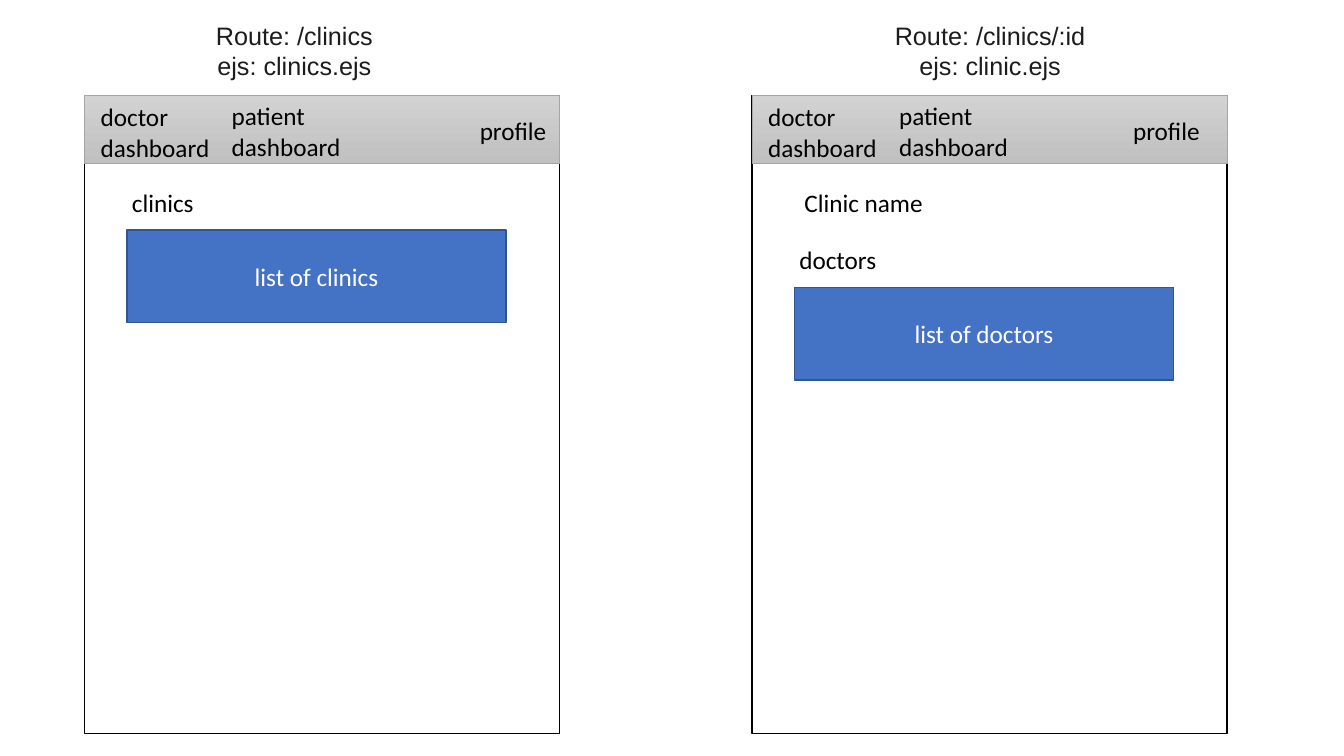
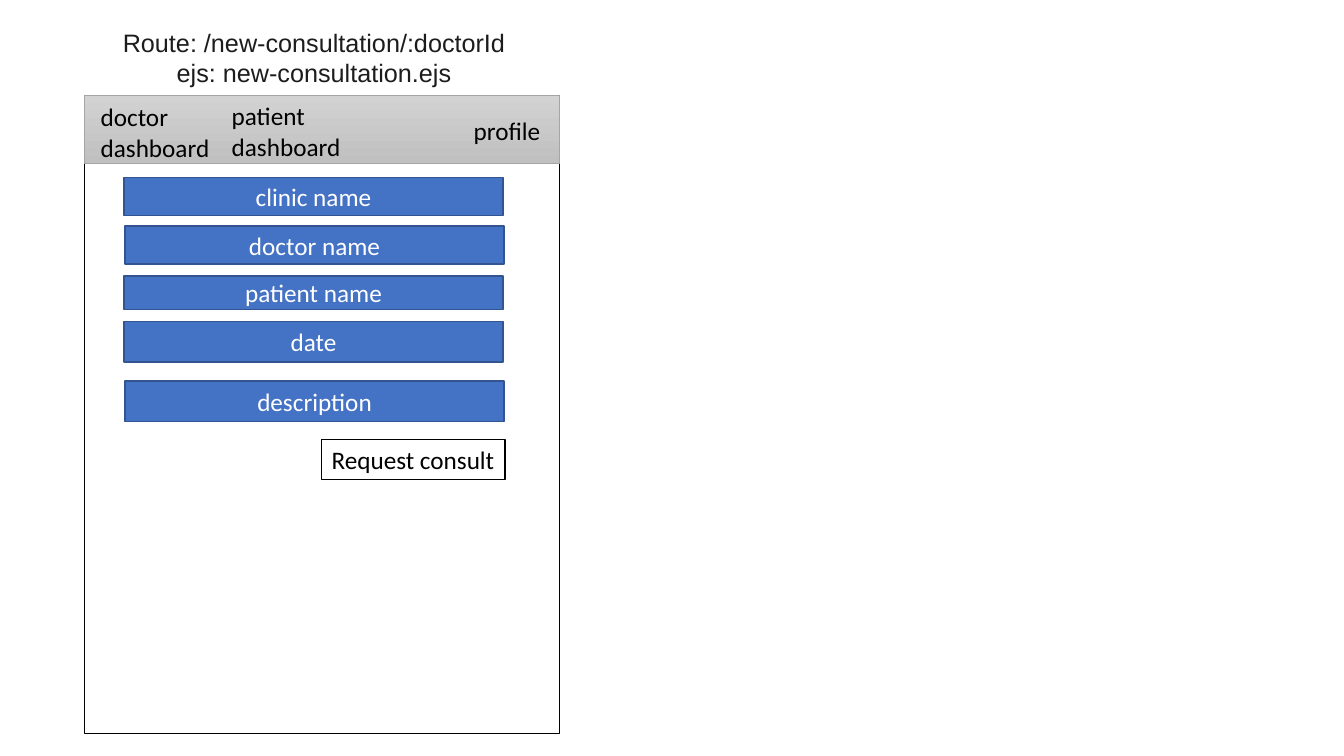
"""Build two wireframe slides for the pages of a clinic consultation app."""
from pptx import Presentation
from pptx.dml.color import RGBColor
from pptx.enum.shapes import MSO_SHAPE as Shape
from pptx.enum.text import MSO_ANCHOR as Anchor, MSO_AUTO_SIZE as AutoSize, PP_ALIGN as Align
from pptx.util import Inches, Pt

BLACK = RGBColor(0x00, 0x00, 0x00)
WHITE = RGBColor(0xFF, 0xFF, 0xFF)
ROUTE_INK = RGBColor(0x1D, 0x1C, 0x1D)
BLUE = RGBColor(0x44, 0x72, 0xC4)
BLUE_EDGE = RGBColor(0x32, 0x54, 0x91)
NAV_TOP = RGBColor(0xD2, 0xD2, 0xD2)
NAV_BOTTOM = RGBColor(0xC0, 0xC0, 0xC0)
NAV_EDGE = RGBColor(0xA5, 0xA5, 0xA5)

SLIDE_WIDTH, SLIDE_HEIGHT = 13.33, 7.5
COLUMNS = (0.84, 7.46)
PAGE_TOP, PAGE_WIDTH, PAGE_HEIGHT = 0.95, 4.71, 6.33
NAV_HEIGHT = 0.67
LINE_HEIGHT, TWO_LINES = 0.4, 0.71
BAR_WIDTH, LABEL_WIDTH = 3.76, 3.86
BUTTON_INSET, BUTTON_WIDTH = 2.35, 1.82
NAV_LINKS = [
    (("doctor", "dashboard"), 0.06, 0.01, 1.37, TWO_LINES),
    (("patient", "dashboard"), 1.36, 0, 1.37, TWO_LINES),
]

# Insets run from the page's left edge; tops run from the slide's top edge.
SLIDES = [
    [
        {
            "route": (("Route: /clinics", "ejs: clinics.ejs"), 0.63, 0.15, 2.9),
            "profile": 3.82,
            "labels": [("clinics", 0.37, 1.81)],
            "bars": [("list of clinics", 0.42, 2.28, 0.92)],
        },
        {
            "route": (("Route: /clinics/:id", "ejs: clinic.ejs"), 0.91, 0.15, 2.9),
            "profile": 3.68,
            "labels": [("Clinic name", 0.42, 1.81), ("doctors", 0.37, 2.37)],
            "bars": [("list of doctors", 0.42, 2.85, 0.92)],
        },
    ],
    [
        {
            "route": (("Route: /new-consultation/:doctorId", "ejs: new-consultation.ejs"),
                      -0.08, 0.22, PAGE_WIDTH),
            "profile": 3.76,
            "bars": [
                ("clinic name", 0.39, 1.76, 0.38),
                ("doctor name", 0.4, 2.24, 0.38),
                ("patient name", 0.39, 2.74, 0.33),
                ("date", 0.39, 3.19, 0.4),
                ("description", 0.4, 3.78, 0.4),
            ],
            "button": ("Request consult", 4.36),
        },
    ],
]


def write(box, lines, color=BLACK, font="Calibri", align=Align.LEFT, anchor=Anchor.TOP, wrap=True):
    frame = box.text_frame
    frame.auto_size = AutoSize.NONE
    frame.word_wrap = wrap
    frame.vertical_anchor = anchor
    para = frame.paragraphs[0]
    para.alignment = align
    for index, line in enumerate(lines):
        if index:
            para.add_line_break()
        span = para.add_run()
        span.text = line
        span.font.name = font
        span.font.size = Pt(18)
        span.font.color.rgb = color


def add_text(shapes, lines, left, top, width, height, **style):
    box = shapes.add_textbox(*map(Inches, (left, top, width, height)))
    write(box, lines, **style)


def add_rectangle(shapes, left, top, width, height, edge, fill=None, weight=1):
    box = shapes.add_shape(Shape.RECTANGLE, *map(Inches, (left, top, width, height)))
    box.shadow.inherit = False
    box.line.color.rgb = edge
    box.line.width = Pt(weight)
    if fill is None:
        box.fill.background()
    else:
        box.fill.solid()
        box.fill.fore_color.rgb = fill
    return box


def add_route(slide, left, route):
    lines, inset, top, width = route
    place = (left + inset, top, width, TWO_LINES)
    style = {"color": ROUTE_INK, "font": "Arial", "align": Align.CENTER}
    title = slide.shapes.title
    if title.has_text_frame and title.text_frame.text:
        add_text(slide.shapes, lines, *place, **style)
        return
    title.left, title.top, title.width, title.height = map(Inches, place)
    write(title, lines, **style)


def add_navigation(slide, left, profile_inset):
    group = slide.shapes.add_group_shape()
    band = add_rectangle(group.shapes, left, PAGE_TOP, PAGE_WIDTH, NAV_HEIGHT, NAV_EDGE, weight=0.5)
    band.fill.gradient()
    band.fill.gradient_angle = 270
    for stop, color in zip(band.fill.gradient_stops, (NAV_TOP, NAV_BOTTOM)):
        stop.color.rgb = color
    profile = (("profile",), profile_inset, 0.14, PAGE_WIDTH - profile_inset, LINE_HEIGHT)
    for lines, inset, drop, width, height in [*NAV_LINKS, profile]:
        add_text(group.shapes, lines, left + inset, PAGE_TOP + drop, width, height)


def add_page(slide, left, page):
    shapes = slide.shapes
    add_route(slide, left, page["route"])
    add_rectangle(shapes, left, PAGE_TOP, PAGE_WIDTH, PAGE_HEIGHT, BLACK)
    add_navigation(slide, left, page["profile"])
    for label, inset, top in page.get("labels", []):
        add_text(shapes, [label], left + inset, top, LABEL_WIDTH, LINE_HEIGHT)
    for name, inset, top, height in page["bars"]:
        bar = add_rectangle(shapes, left + inset, top, BAR_WIDTH, height, BLUE_EDGE, BLUE)
        write(bar, [name], WHITE, align=Align.CENTER, anchor=Anchor.MIDDLE)
    if "button" in page:
        caption, top = page["button"]
        button = add_rectangle(shapes, left + BUTTON_INSET, top, BUTTON_WIDTH, LINE_HEIGHT, BLACK, WHITE)
        write(button, [caption], wrap=False)


deck = Presentation()
deck.slide_width, deck.slide_height = Inches(SLIDE_WIDTH), Inches(SLIDE_HEIGHT)
title_only = deck.slide_layouts.get_by_name("Title Only")
for pages in SLIDES:
    slide = deck.slides.add_slide(title_only)
    for left, page in zip(COLUMNS, pages):
        add_page(slide, left, page)
deck.save("out.pptx")
